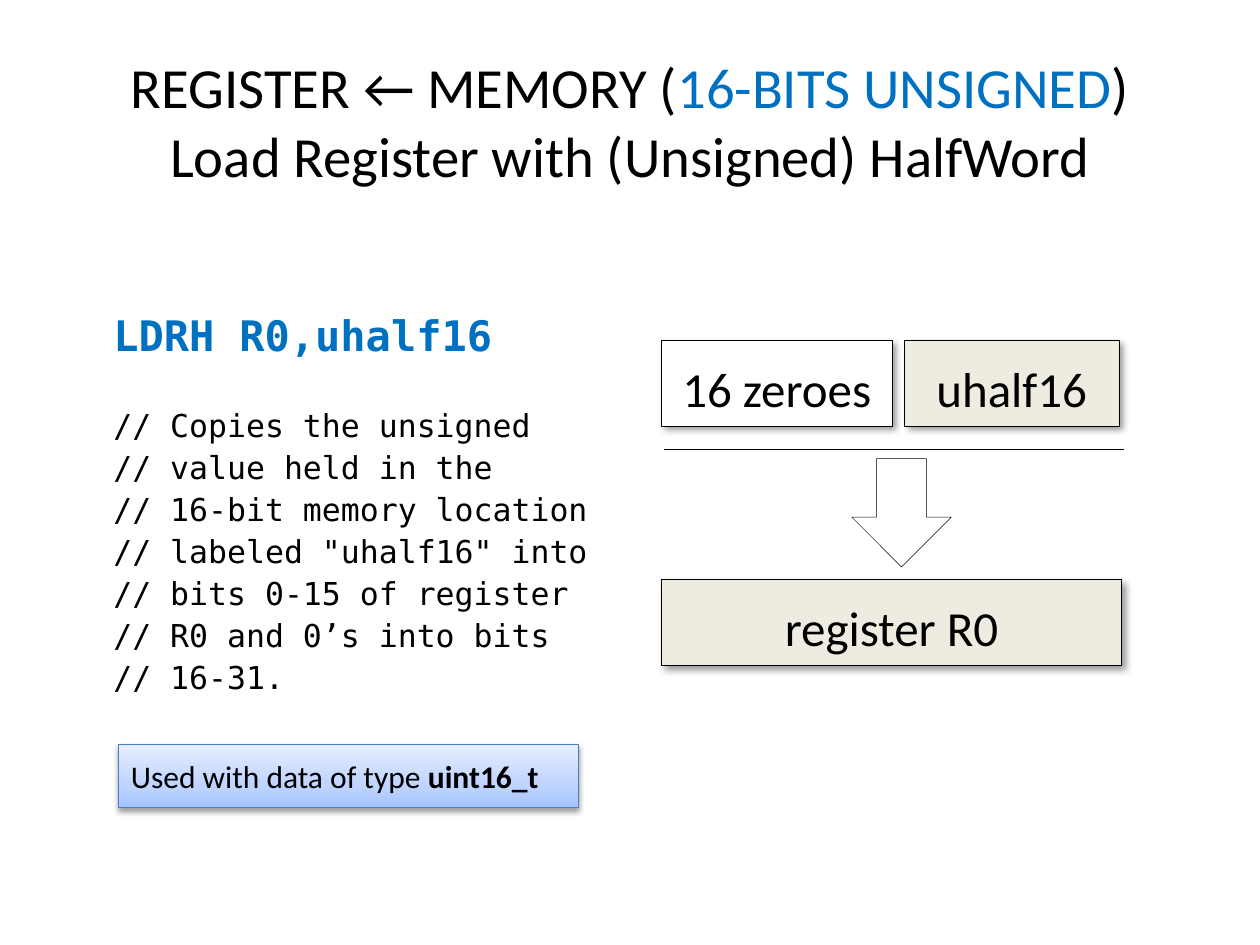
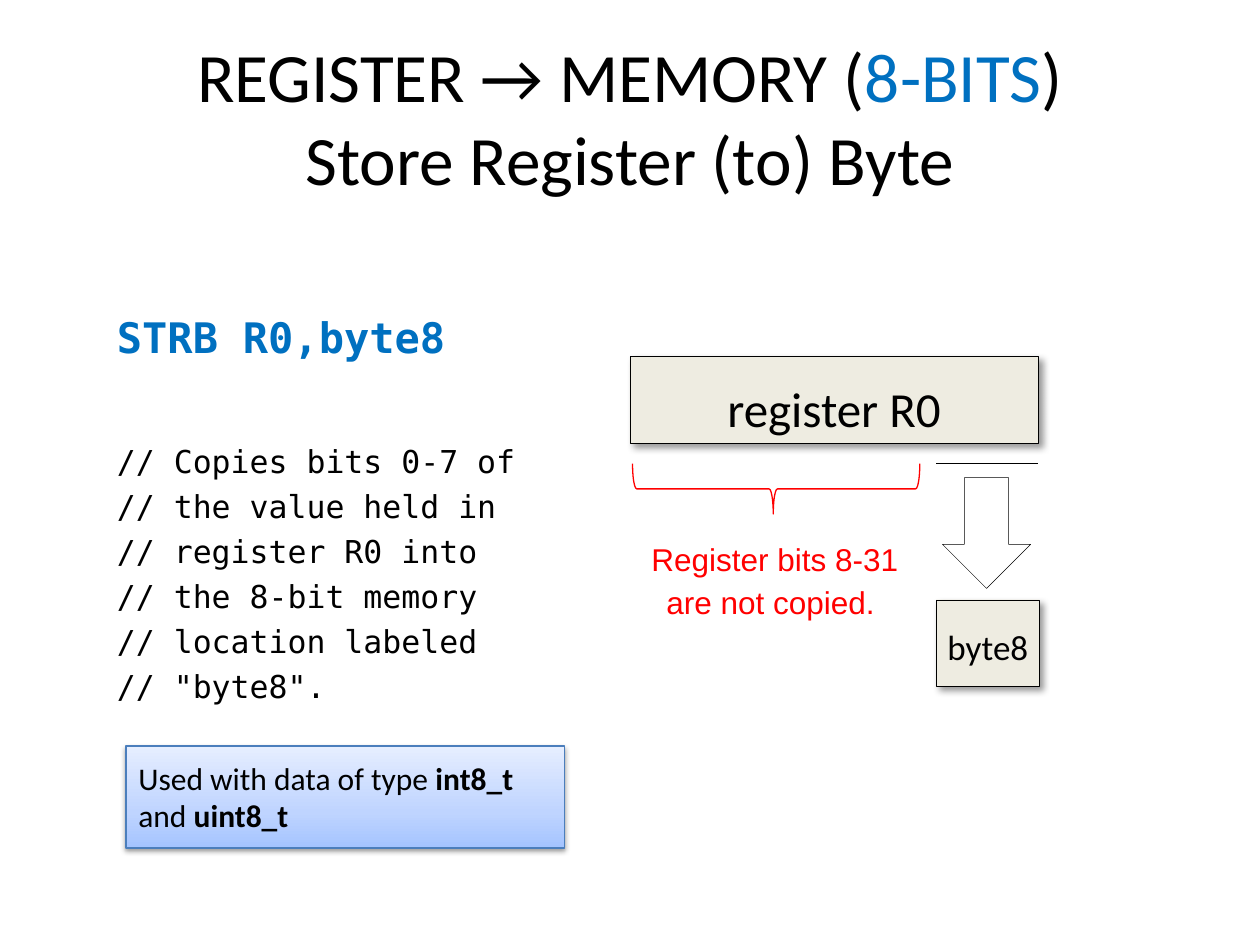
from lxml.etree import SubElement
from pptx import Presentation
from pptx.dml.color import RGBColor
from pptx.enum.shapes import MSO_CONNECTOR, MSO_SHAPE
from pptx.enum.text import MSO_ANCHOR, PP_ALIGN
from pptx.oxml.ns import qn
from pptx.util import Inches, Pt

RECT, ARROW, BRACE = MSO_SHAPE.RECTANGLE, MSO_SHAPE.DOWN_ARROW, MSO_SHAPE.LEFT_BRACE
STRAIGHT = MSO_CONNECTOR.STRAIGHT
TOP, MIDDLE, BOTTOM = MSO_ANCHOR.TOP, MSO_ANCHOR.MIDDLE, MSO_ANCHOR.BOTTOM
LEFT, CENTER = PP_ALIGN.LEFT, PP_ALIGN.CENTER

COLORS = {"text": "000000", "accent": "0070C0", "data": "EEECE1", "plain": "FFFFFF",
          "alert": "FF0000", "note_line": "4B7EBC"}
NOTE_STOPS = [(0, "A4C4FF"), (35, "BFD4FF"), (100, "E6EEFF")]
# Shadows: opacity %, blur pt, distance pt, direction in degrees
BOX_SHADOW, NOTE_SHADOW = (40, 4, 3, 45), (38, 3.1, 1.6, 90)
BODY, CODE, LABEL = "Calibri", "DejaVu Sans Mono", "Arial"
COLUMNS, ROWS = 100, 75


def rgb(name):
    return RGBColor.from_string(COLORS[name])


class Deck:
    """Slide style plus the current slide; places are columns and rows of a grid."""

    def __init__(self):
        self.prs = Presentation()
        self.prs.slide_width, self.prs.slide_height = Inches(10), Inches(7.5)
        self.col = self.prs.slide_width / COLUMNS
        self.row = self.prs.slide_height / ROWS

    def place(self, x, y, w, h):
        return [round(v) for v in (x * self.col, y * self.row, w * self.col, h * self.row)]

    def new_slide(self):
        self.s = self.prs.slides.add_slide(self.prs.slide_layouts[6])

    def start_diagram(self):
        self.diagram = self.s.shapes.add_group_shape().shapes

    # Text
    def frame(self, tf, anchor=TOP, insets=(1, 0.5, 1, 0.5)):
        tf.word_wrap, tf.vertical_anchor = True, anchor
        tf.margin_left, tf.margin_top, tf.margin_right, tf.margin_bottom = [
            round(i * self.col) for i in insets]

    def add_text(self, p, runs, size, font=BODY, color="text", bold=False,
                 align=LEFT, spacing=1.0, before=0):
        """Runs are strings, or (text, changes) pairs; a newline breaks the line."""
        p.alignment, p.line_spacing, p.space_before = align, spacing, Pt(before)
        p.font.size, p.font.name, p.font.bold = Pt(size), font, bold
        p.font.color.rgb = rgb(color)
        for run in runs:
            text, changes = run if isinstance(run, tuple) else (run, {})
            for i, line in enumerate(text.split("\n")):
                if i:
                    p.add_line_break()
                r = p.add_run()
                r.text = line
                r.font.size, r.font.name = Pt(size), font
                r.font.bold = changes.get("bold", bold)
                r.font.color.rgb = rgb(changes.get("color", color))

    def title(self, place, size, transfer, width, name):
        tf = self.s.shapes.add_textbox(*self.place(*place)).text_frame
        self.frame(tf, MIDDLE)
        runs = [transfer + " (", (width, {"color": "accent"}), ")\n" + name]
        self.add_text(tf.paragraphs[0], runs, size, align=CENTER)

    def code(self, tf, instruction, comments, gap, head_spacing=1.0, lead=0):
        self.add_text(tf.paragraphs[0], [instruction], 24, CODE, "accent", True,
                      spacing=head_spacing)
        for i, line in enumerate(comments):
            self.add_text(tf.add_paragraph(), ["// " + line], 18, CODE,
                          spacing=1.15, before=lead if i else gap)

    def code_table(self, place, widths, *args, **style):
        table = self.s.shapes.add_table(1, len(widths), *self.place(*place)).table
        table.first_row = table.horz_banding = False
        for column, width, cell in zip(table.columns, widths, table.rows[0].cells):
            column.width = round(width * self.col)
            cell.fill.background()
            cell.margin_left = cell.margin_right = round(0.7 * self.col)
            cell.margin_top = cell.margin_bottom = 0
        self.code(table.cell(0, 0).text_frame, *args, **style)

    def code_box(self, place, *args, **style):
        tf = self.s.shapes.add_textbox(*self.place(*place)).text_frame
        self.frame(tf)
        self.code(tf, *args, **style)

    # Shapes
    def shape(self, shapes, kind, place, fill=None, line=None, weight=0.25, shadow=None):
        sp = shapes.add_shape(kind, *self.place(*place))
        if fill:
            sp.fill.solid()
            sp.fill.fore_color.rgb = rgb(fill)
        else:
            sp.fill.background()
        if line:
            sp.line.color.rgb, sp.line.width = rgb(line), Pt(weight)
        else:
            sp.line.fill.background()
        sp.shadow.inherit = False
        if shadow:
            self.cast(sp, *shadow)
        return sp

    def cast(self, sp, opacity, blur, distance, direction):
        effects = sp._element.spPr.find(qn("a:effectLst"))
        outer = SubElement(effects, qn("a:outerShdw"), blurRad=str(Pt(blur)),
                           dist=str(Pt(distance)), dir=str(direction * 60000),
                           algn="tl", rotWithShape="0")
        color = SubElement(outer, qn("a:srgbClr"), val=COLORS["text"])
        SubElement(color, qn("a:alpha"), val=str(opacity * 1000))

    def box(self, place, text, fill="data", size=28, anchor=MIDDLE, insets=(1, 0.5, 1, 0.5)):
        sp = self.shape(self.diagram, RECT, place, fill, "text", shadow=BOX_SHADOW)
        self.frame(sp.text_frame, anchor, insets)
        self.add_text(sp.text_frame.paragraphs[0], [text], size, align=CENTER, spacing=1.15)

    def arrow(self, place):
        self.shape(self.diagram, ARROW, place, "plain", "text")

    def rule(self, x1, x2, y):
        a, b, h = round(x1 * self.col), round(x2 * self.col), round(y * self.row)
        line = self.diagram.add_connector(STRAIGHT, a, h, b, h)
        line.line.color.rgb, line.line.width = rgb("text"), Pt(0.75)
        SubElement(line._element.spPr, qn("a:effectLst"))

    def brace(self, place):
        sp = self.shape(self.diagram, BRACE, place, line="alert", weight=0.75)
        sp.rotation = 270
        sp.adjustments[0], sp.adjustments[1] = 0.083, 0.49

    def remark(self, place, text):
        sp = self.shape(self.diagram, RECT, place, "plain")
        self.frame(sp.text_frame, MIDDLE, (0, 0, 0, 0))
        self.add_text(sp.text_frame.paragraphs[0], [text], 18, LABEL, "alert",
                      align=CENTER, spacing=1.15)

    def note(self, place, *runs):
        sp = self.shape(self.s.shapes, RECT, place, line="note_line", weight=0.75,
                        shadow=NOTE_SHADOW)
        sp.fill.gradient()
        sp.fill.gradient_angle = 90
        stops = sp._element.spPr.find(".//" + qn("a:gsLst"))
        for stop in list(stops):
            stops.remove(stop)
        for position, color in NOTE_STOPS:
            stop = SubElement(stops, qn("a:gs"), pos=str(position * 1000))
            SubElement(stop, qn("a:srgbClr"), val=color)
        self.frame(sp.text_frame, TOP, (1, 1, 1, 1))
        self.add_text(sp.text_frame.paragraphs[0], ["Used with data of type ", *runs], 18)


BOLD = {"bold": True}
deck = Deck()

# Slide 1: load an unsigned halfword
deck.new_slide()
deck.title((0, 3.3, 100, 12.5), 32.4, "REGISTER ← MEMORY", "16-BITS UNSIGNED",
           "Load Register with (Unsigned) HalfWord")
deck.code_table((8.3, 24.2, 60.9, 35.6), (41.7, 19.2), "LDRH\tR0,uhalf16",
                ["Copies the unsigned ", "value held in the", "16-bit memory location",
                 'labeled "uhalf16" into', "bits 0-15 of register",
                 "R0 and 0’s into bits", "16-31.\u00a0"], gap=24, head_spacing=1.15)
deck.start_diagram()
deck.box((71.8, 27, 17, 6.8), "uhalf16")
deck.box((52.5, 46, 36.5, 6.8), "register R0")
deck.box((52.5, 27, 18.3, 6.8), "16 zeroes", "plain")
deck.arrow((67.6, 36.4, 7.9, 8.6))
deck.rule(52.7, 89.2, 35.7)
deck.note((9.4, 59.1, 36.5, 5), ("uint16_t", BOLD))

# Slide 2: store a byte
deck.new_slide()
deck.title((5, 3, 90, 12.5), 39.6, "REGISTER → MEMORY", "8-BITS",
           "Store Register (to) Byte")
deck.code_box((8.3, 24.2, 36.7, 35), "STRB\tR0,byte8",
              ["Copies bits 0-7 of", "the value held in", "register R0 into",
               "the 8-bit memory", "location labeled", '"byte8".\u00a0'], gap=43, lead=0.8)
deck.start_diagram()
deck.box((50, 28.3, 32.4, 6.9), "register R0", anchor=BOTTOM, insets=(1, 2, 1, 0.5))
deck.box((74.3, 47.6, 8.2, 6.9), "byte8", size=20, insets=(0, 0.5, 0, 0.5))
deck.arrow((74.8, 37.9, 7, 8.8))
deck.rule(74.3, 82.4, 36.8)
deck.brace((59.6, 27.4, 4, 22.8))
deck.remark((50, 41.1, 23, 9.5), "Register bits 8-31 are not copied. ")
deck.note((10, 59.2, 34.8, 8.1), ("int8_t ", BOLD), "and", (" uint8_t", BOLD))

deck.prs.save("out.pptx")
